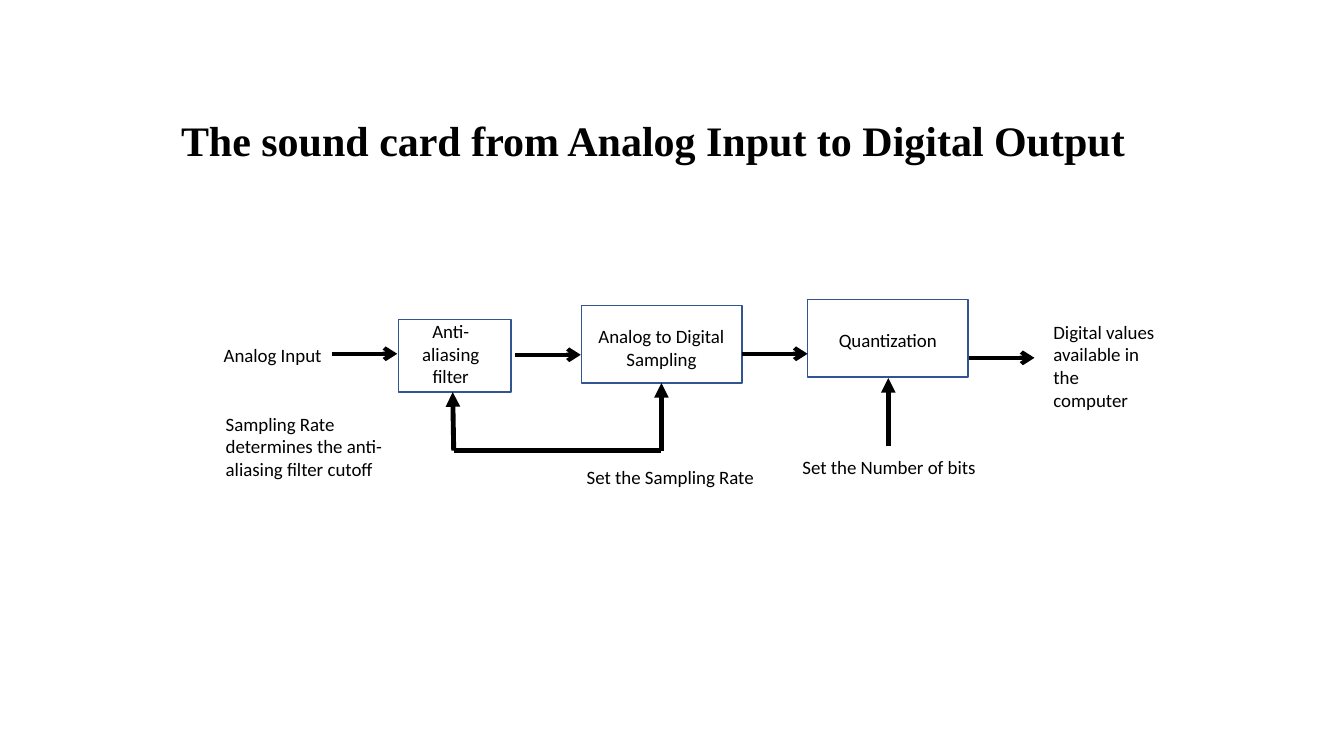
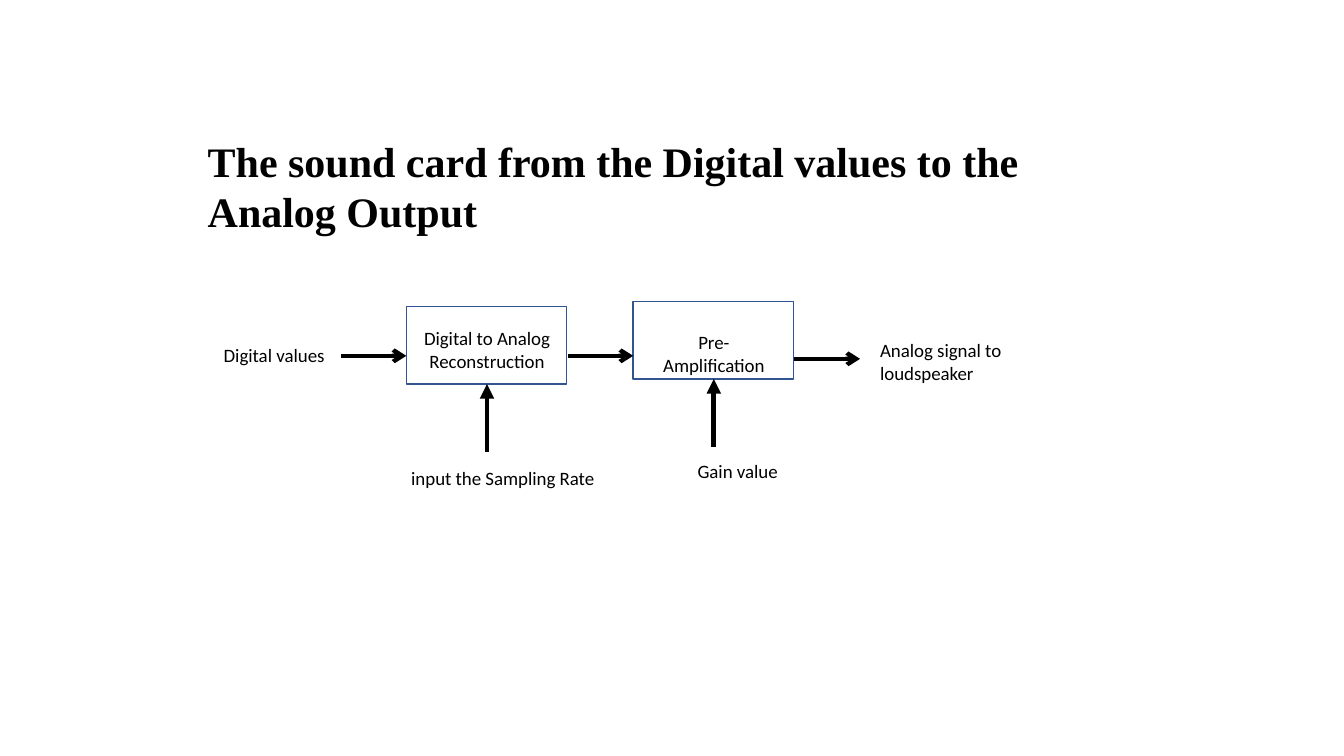
"""Builds two block diagrams of the signal path through a sound card."""
import pptx
import pptx.util
import pptx.dml.color
import pptx.enum.shapes
import pptx.enum.text
import pptx.oxml

Inches, Pt = pptx.util.Inches, pptx.util.Pt
INK = pptx.dml.color.RGBColor(0x00, 0x00, 0x00)
BLUE = pptx.dml.color.RGBColor(0x32, 0x54, 0x91)
LEFT = pptx.enum.text.PP_ALIGN.LEFT
MID = pptx.enum.text.PP_ALIGN.CENTER
HEAD, BODY = ("Times New Roman", 30, True), ("Calibri", 13.5, False)
FLOW, RISE = 0.65, 0.67
BIG = (1.59, 0.77)

SLIDES = [
    {
        "title": ("The sound card from Analog Input to Digital Output",
                  (1.65, 1.09, 9.66, 0.61), MID, False),
        "boxes": [
            ("Anti-aliasing filter", (3.95, 3.17), (1.12, 0.72), (0.06, 0, 0.14)),
            ("Analog to Digital Sampling", (5.77, 3.03), BIG, (0.15, 0.19, 0.16)),
            ("Quantization", (8.01, 2.97), BIG, (0.16, 0.29, 0.16)),
        ],
        "notes": [
            ("Analog Input", (2.12, 3.36, 1.3, 0.33), True),
            ("Digital values available in the computer", (10.35, 3.13, 1.2, 1.24), True),
            ("Sampling Rate determines the anti-aliasing filter cutoff",
             (2.14, 4.04, 2.18, 0.78), True),
            ("Set the Sampling Rate", (5.72, 4.57, 1.89, 0.33), False),
            ("Set the Number of bits", (7.86, 4.47, 1.95, 0.33), False),
        ],
        "flows": [(3.29, 3.51), (5.11, 3.52), (7.36, 3.51), (9.61, 3.55)],
        "rises": [(6.56, 3.8), (8.81, 3.75)],
        "links": [((6.56, 4.47), (4.5, 4.47), 3, None),
                  ((4.5, 4.47), (4.49, 3.89), 3.5, "triangle")],
    },
    {
        "title": ("The sound card from the Digital values to the Analog Output",
                  (1.96, 1.29, 9.17, 1.11), LEFT, True),
        "boxes": [
            ("Digital to Analog Reconstruction", (4.03, 3.04), BIG, (0.16, 0.2, 0.15)),
            ("Pre-Amplification", (6.28, 2.99), BIG, (0.16, 0.29, 0.15)),
        ],
        "notes": [
            ("Digital values", (2.12, 3.36, 1.3, 0.33), True),
            ("Analog signal to loudspeaker", (8.63, 3.31, 2.01, 0.56), True),
            ("input the Sampling Rate", (3.98, 4.58, 2.05, 0.33), False),
            ("Gain value", (6.82, 4.51, 1.01, 0.33), False),
        ],
        "flows": [(3.38, 3.53), (5.63, 3.53), (7.88, 3.56)],
        "rises": [(4.83, 3.81), (7.08, 3.76)],
        "links": [],
    },
]


def write(shape, text, style, align, wrap=True, pads=(0.1, 0.05, 0.1)):
    """Fill a shape with one styled run."""
    frame = shape.text_frame
    frame.auto_size = pptx.enum.text.MSO_AUTO_SIZE.NONE
    frame.word_wrap = wrap
    frame.vertical_anchor = pptx.enum.text.MSO_ANCHOR.TOP
    frame.margin_left, frame.margin_top, frame.margin_right = map(Inches, pads)
    par = frame.paragraphs[0]
    par.alignment = align
    run = par.add_run()
    run.text = text
    font = run.font
    font.name, font.bold = style[0], style[2]
    font.size = Pt(style[1])
    font.color.rgb = INK


def add_title(slide, text, place, align, wrap):
    """Place and style the title."""
    title = slide.shapes.title
    title.left, title.top, title.width, title.height = map(Inches, place)
    write(title, text, HEAD, align, wrap)


def add_box(slide, text, spot, size, pads):
    """Draw one labelled stage."""
    box = slide.shapes.add_shape(pptx.enum.shapes.MSO_SHAPE.RECTANGLE,
                                 *map(Inches, spot + size))
    box.shadow.inherit = False
    box.fill.background()
    box.line.color.rgb = BLUE
    box.line.width = Pt(1)
    write(box, text, BODY, MID, pads=pads)


def add_line(slide, start, end, width, tip):
    """Draw a straight line with an optional tip."""
    line = slide.shapes.add_connector(pptx.enum.shapes.MSO_CONNECTOR.STRAIGHT,
                                      *map(Inches, start + end))
    line.line.color.rgb = INK
    line.line.width = Pt(width)
    if tip:
        mark = pptx.oxml.ns.qn("a:tailEnd")
        line.line._get_or_add_ln().makeelement(mark, {})
        node = line.line._get_or_add_ln()
        node.append(node.makeelement(mark, {"type": tip}))
    props = line._element.spPr
    props.append(props.makeelement(pptx.oxml.ns.qn("a:effectLst"), {}))


def build(deck, data):
    """Add one diagram slide."""
    slide = deck.slides.add_slide(deck.slide_layouts[5])
    add_title(slide, *data["title"])
    for box in data["boxes"]:
        add_box(slide, *box)
    for text, place, wrap in data["notes"]:
        note = slide.shapes.add_textbox(*map(Inches, place))
        write(note, text, BODY, LEFT, wrap)
    for x, y in data["flows"]:
        add_line(slide, (x, y), (x + FLOW, y), 3, "arrow")
    for x, y in data["rises"]:
        add_line(slide, (x, y + RISE), (x, y), 3.5, "triangle")
    for link in data["links"]:
        add_line(slide, *link)


def main():
    """Make and save the deck."""
    deck = pptx.Presentation()
    deck.slide_width, deck.slide_height = Inches(13.33), Inches(7.5)
    for data in SLIDES:
        build(deck, data)
    deck.save("out.pptx")


if __name__ == "__main__":
    main()
